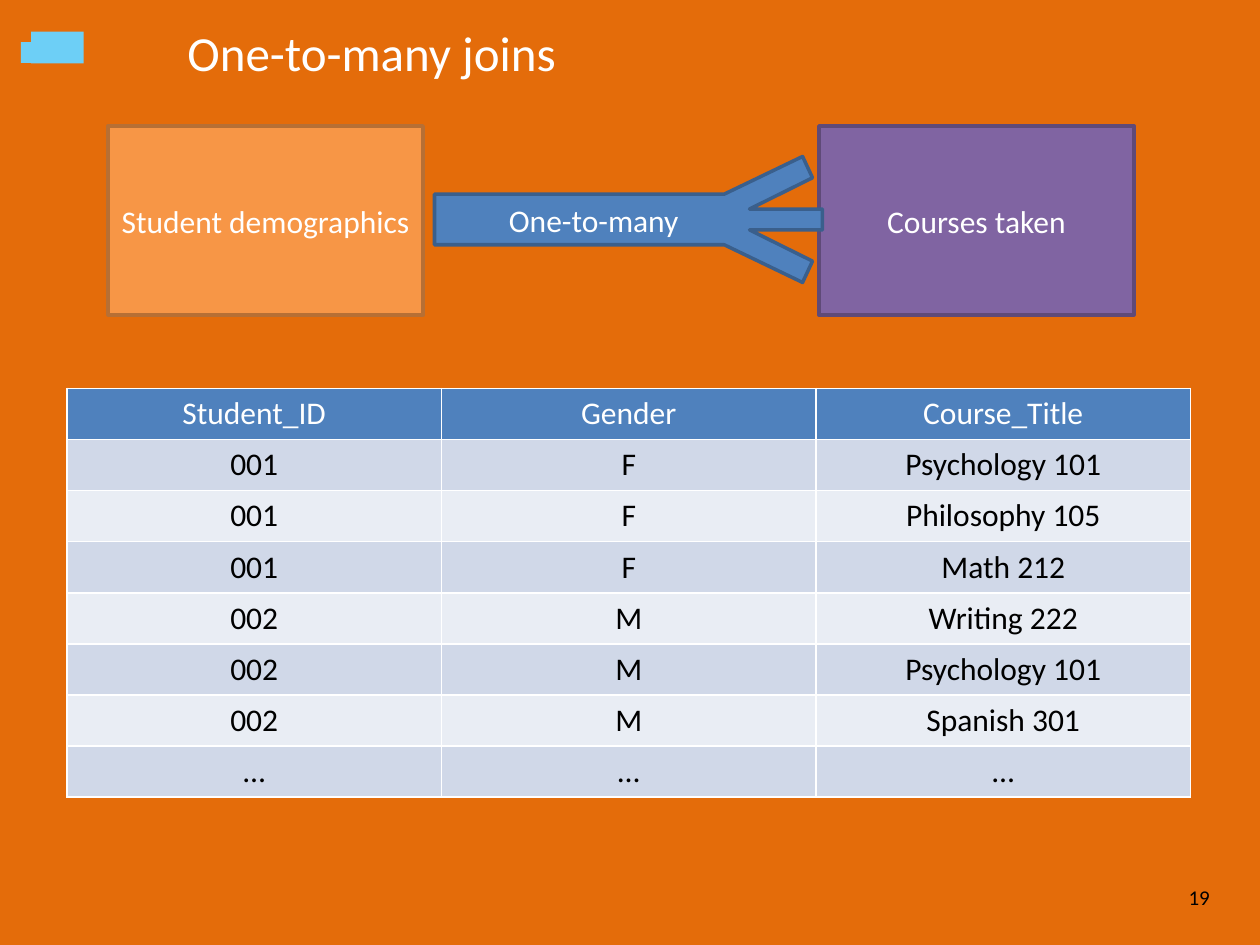
from lxml import etree
from pptx import Presentation
from pptx.dml.color import RGBColor
from pptx.enum.shapes import MSO_SHAPE
from pptx.enum.text import MSO_ANCHOR, PP_ALIGN
from pptx.oxml.ns import qn
from pptx.util import Cm, Pt

RECT = MSO_SHAPE.RECTANGLE
MIDDLE = MSO_ANCHOR.MIDDLE
LEFT, CENTER, RIGHT = PP_ALIGN.LEFT, PP_ALIGN.CENTER, PP_ALIGN.RIGHT
FONT = "Calibri"
COLORS = {
    "background": "E46C0A", "accent": "6DCFF6", "white": "FFFFFF", "black": "000000",
    "students": "F79646", "students_line": "B76F34",
    "courses": "8064A2", "courses_line": "5F4A78",
    "join": "4F81BD", "join_line": "3A5F8C",
    "band_dark": "D0D8E8", "band_light": "E9EDF4",
}
ROWS = [
    ("Student_ID", "Gender", "Course_Title"),
    ("001", "F", "Psychology 101"),
    ("001", "F", "Philosophy 105"),
    ("001", "F", "Math 212"),
    ("002", "M", "Writing 222"),
    ("002", "M", "Psychology 101"),
    ("002", "M", "Spanish 301"),
    ("…", "…", "…"),
]


def rgb(name):
    return RGBColor.from_string(COLORS[name])


def write(tf, text, size, color, align):
    p = tf.paragraphs[0]
    p.text = text
    p.alignment = align
    p.font.name, p.font.size = FONT, Pt(size)
    p.font.color.rgb = rgb(color)


def paint(sp, fill, line=None):
    sp.shadow.inherit = False
    sp.fill.solid()
    sp.fill.fore_color.rgb = rgb(fill)
    if line:
        sp.line.color.rgb = rgb(line)
        sp.line.width = Pt(2)
    else:
        sp.line.fill.background()


def add_text(s, x, y, w, h, text, size, color, align):
    tf = s.shapes.add_textbox(Cm(x), Cm(y), Cm(w), Cm(h)).text_frame
    tf.word_wrap = True
    tf.vertical_anchor = MIDDLE
    write(tf, text, size, color, align)


def add_ornament(s, x, y):
    for dx, dy, w, h in ((0.21, 0, 1.06, 0.64), (0, 0.21, 0.42, 0.42)):
        paint(s.shapes.add_shape(RECT, Cm(x + dx), Cm(y + dy), Cm(w), Cm(h)), "accent")


def add_entity(s, x, y, w, h, text, fill):
    sp = s.shapes.add_shape(RECT, Cm(x), Cm(y), Cm(w), Cm(h))
    paint(sp, fill, fill + "_line")
    tf = sp.text_frame
    tf.vertical_anchor = MIDDLE
    tf.margin_left = tf.margin_right = Cm(0.2)
    write(tf, text, 18, "white", CENTER)


def add_fork(s, x, middle, text):
    # Upper half as (distance along, distance from the axis), mirrored below
    half = [(0, 0.51), (5.84, 0.51), (7.42, 1.27), (7.62, 0.84), (6.35, 0.21), (7.82, 0.21)]
    outline = [(dx, -dy) for dx, dy in half] + half[::-1]
    points = [(Cm(x + dx), Cm(middle + dy)) for dx, dy in outline]
    builder = s.shapes.build_freeform(*points[0])
    builder.add_line_segments(points[1:], close=True)
    sp = builder.convert_to_shape()
    paint(sp, "join", "join_line")
    tf = sp.text_frame
    tf.vertical_anchor = MIDDLE
    tf.margin_left = Cm(1.5)
    write(tf, text, 18, "white", LEFT)


def add_diagram(s, x, y, w, h):
    box_w = 6.35
    add_entity(s, x, y, box_w, h, "Student demographics", "students")
    add_entity(s, x + w - box_w, y, box_w, h, "Courses taken", "courses")
    add_fork(s, x + box_w + 0.23, y + h / 2 - 0.02, "One-to-many")


def set_borders(cell, color):
    pr = cell._tc.get_or_add_tcPr()
    for i, side in enumerate(("a:lnL", "a:lnR", "a:lnT", "a:lnB")):
        ln = etree.Element(qn(side), w=str(Pt(1)))
        fill = etree.SubElement(ln, qn("a:solidFill"))
        etree.SubElement(fill, qn("a:srgbClr"), val=COLORS[color])
        pr.insert(i, ln)


def add_join_table(s, x, y, w, h):
    table = s.shapes.add_table(len(ROWS), len(ROWS[0]), Cm(x), Cm(y), Cm(w), Cm(h)).table
    for column in table.columns:
        column.width = Cm(w / len(ROWS[0]))
    for i, values in enumerate(ROWS):
        table.rows[i].height = Cm(h / len(ROWS))
        fill = "join" if i == 0 else "band_dark" if i % 2 else "band_light"
        for j, value in enumerate(values):
            cell = table.cell(i, j)
            cell.fill.solid()
            cell.fill.fore_color.rgb = rgb(fill)
            set_borders(cell, "white")
            write(cell.text_frame, value, 18, "black" if i else "white", CENTER)


def main():
    prs = Presentation()
    prs.slide_width, prs.slide_height = Cm(25.4), Cm(19.05)
    s = prs.slides.add_slide(prs.slide_layouts[6])
    s.background.fill.solid()
    s.background.fill.fore_color.rgb = rgb("background")

    # Heading and page number
    add_ornament(s, 0.42, 0.64)
    add_text(s, 3.53, 0.3, 21.2, 1.48, "One-to-many joins", 28, "white", LEFT)
    add_text(s, 22.78, 17.58, 1.86, 1, "19", 12, "black", RIGHT)

    # Relationship and joined rows
    add_diagram(s, 2.18, 2.54, 20.68, 3.81)
    add_join_table(s, 1.35, 7.83, 22.65, 8.24)
    prs.save("out.pptx")


if __name__ == "__main__":
    main()
